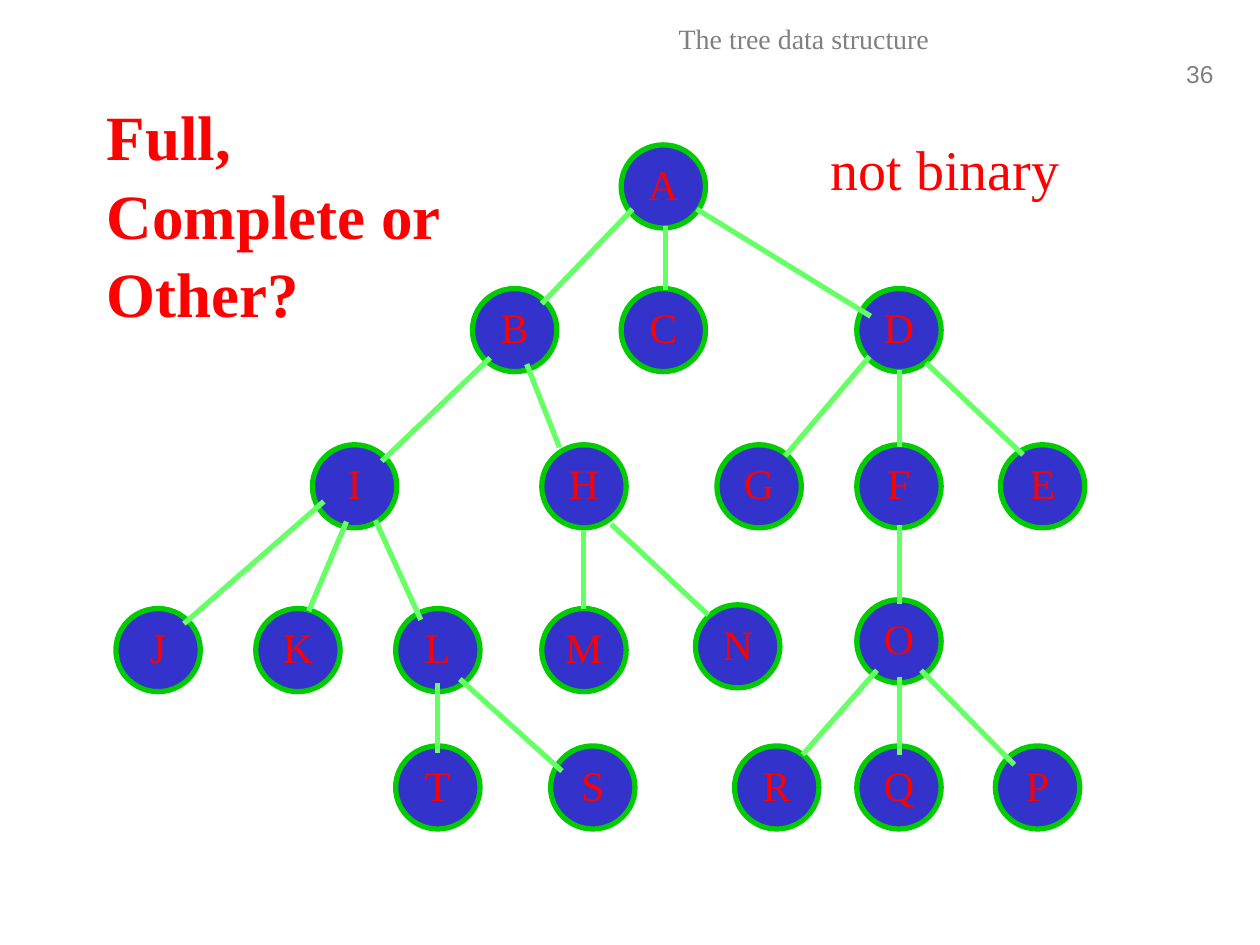
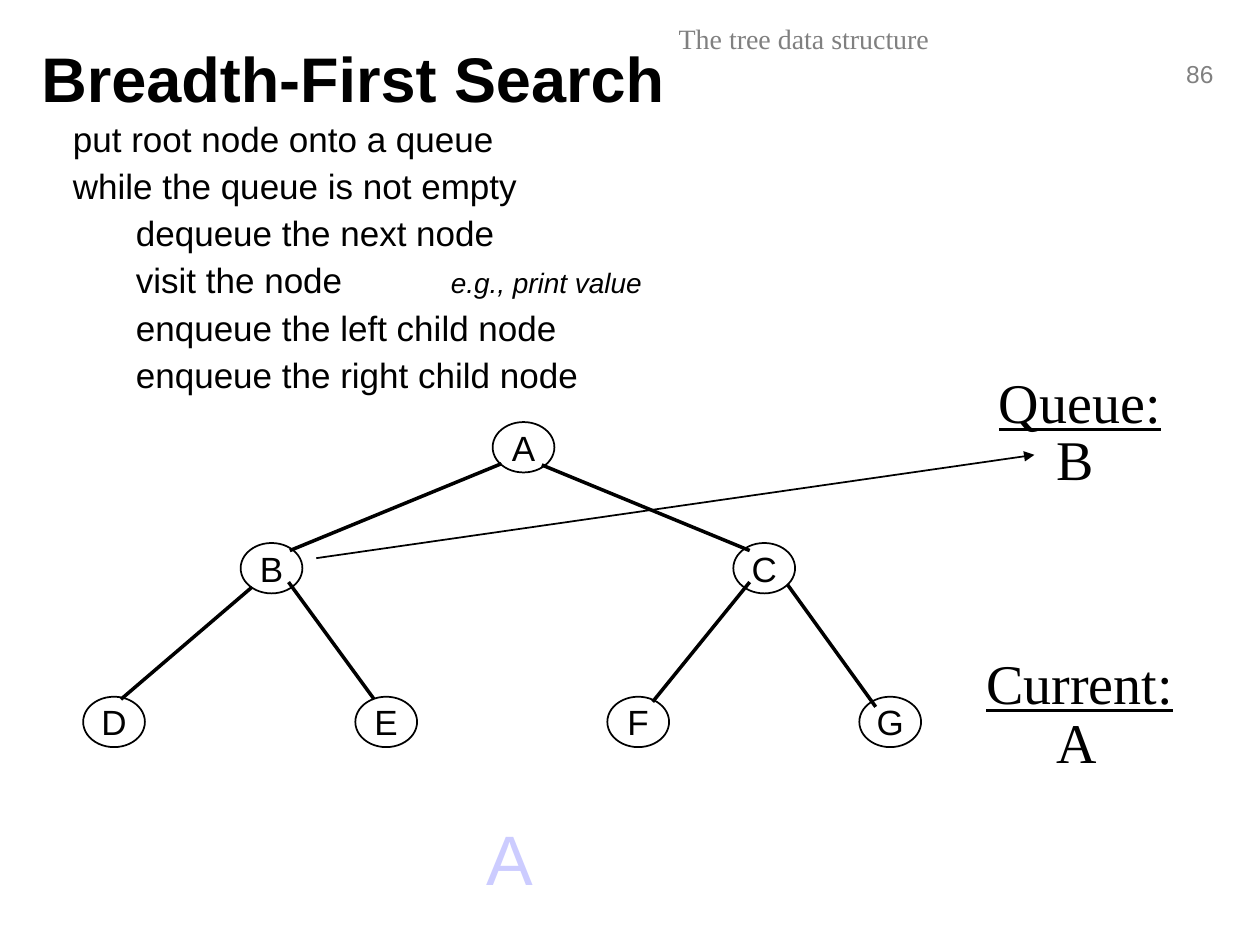
from dataclasses import dataclass

from lxml import etree
from pptx import Presentation
from pptx.dml.color import RGBColor
from pptx.enum.shapes import MSO_CONNECTOR, MSO_SHAPE
from pptx.enum.text import MSO_ANCHOR, PP_ALIGN
from pptx.oxml import parse_xml
from pptx.oxml.ns import nsdecls, qn
from pptx.util import Pt

PX = 9144
OVAL = MSO_SHAPE.OVAL
STRAIGHT = MSO_CONNECTOR.STRAIGHT
LEFT, CENTER, RIGHT = PP_ALIGN.LEFT, PP_ALIGN.CENTER, PP_ALIGN.RIGHT
TOP, MIDDLE = MSO_ANCHOR.TOP, MSO_ANCHOR.MIDDLE


@dataclass(frozen=True)
class Theme:
    serif: str = "Times New Roman"
    sans: str = "Arial"
    black: str = "000000"
    white: str = "FFFFFF"
    gray: str = "808080"
    red: str = "FF0000"
    node_blue: str = "3333CC"
    node_green: str = "00CC00"
    edge_green: str = "66FF66"
    lavender: str = "CCCCFF"
    title: int = 36
    visited: int = 40
    callout: int = 32
    node: int = 24
    body: int = 20
    small: int = 16
    number: int = 14


THEME = Theme()


def put_text(slide, text, box, size, color=THEME.black, font=THEME.sans, bold=False,
             underline=False, align=LEFT, anchor=TOP, wrap=True, spacing=None,
             insets=(10, 5, 10, 5), fill=None, outline=None, weight=1):
    place = [n * PX for n in box]
    if fill:
        holder = slide.shapes.add_shape(OVAL, *place)
        holder.shadow.inherit = False
        holder.fill.solid()
        holder.fill.fore_color.rgb = RGBColor.from_string(fill)
        holder.line.color.rgb = RGBColor.from_string(outline)
        holder.line.width = Pt(weight)
    else:
        holder = slide.shapes.add_textbox(*place)
    frame = holder.text_frame
    frame.word_wrap = wrap
    frame.vertical_anchor = anchor
    (frame.margin_left, frame.margin_top,
     frame.margin_right, frame.margin_bottom) = [n * PX for n in insets]
    for index, words in enumerate(text.split("\n")):
        paragraph = frame.add_paragraph() if index else frame.paragraphs[0]
        paragraph.alignment = align
        if spacing:
            paragraph.line_spacing = spacing
        run = paragraph.add_run()
        run.text = words
        run.font.size = Pt(size)
        run.font.name = font
        run.font.bold = bold
        run.font.underline = underline
        run.font.color.rgb = RGBColor.from_string(color)
    return frame


def draw_edge(slide, ends, color, weight, arrow=False):
    edge = slide.shapes.add_connector(STRAIGHT, *[n * PX for n in ends])
    edge.line.color.rgb = RGBColor.from_string(color)
    edge.line.width = Pt(weight)
    properties = edge._element.spPr
    if arrow:
        etree.SubElement(properties.find(qn("a:ln")), qn("a:tailEnd"), type="triangle")
    etree.SubElement(properties, qn("a:effectLst"))


deck = Presentation()
deck.slide_width, deck.slide_height = 1000 * PX, 750 * PX
blank = deck.slide_layouts[6]
quiz, search = [deck.slides.add_slide(blank) for _ in range(2)]

for slide, number in ((quiz, "36"), (search, "86")):
    put_text(slide, number, (929, 42, 44, 33), THEME.number, THEME.gray,
             align=RIGHT, wrap=False)
    put_text(slide, "The tree data structure", (319, 12, 638, 40), THEME.small,
             THEME.gray, THEME.serif, align=CENTER)

put_text(quiz, "Full, Complete or Other?", (75, 67, 284, 236), THEME.title,
         THEME.red, THEME.serif, bold=True, spacing=1.04, insets=(10, 8, 10, 5))
put_text(quiz, "not binary", (648, 107, 204, 58), THEME.callout, THEME.red,
         THEME.serif, align=CENTER, wrap=False, insets=(10, 0, 10, 5))

quiz_levels = (
    (115, {"A": 493}),
    (229, {"B": 375, "C": 493, "D": 680}),
    (353, {"I": 248, "H": 430, "G": 569, "F": 680, "E": 794}),
    (483, {"J": 92, "K": 203, "L": 314, "M": 430}),
    (480, {"N": 552}),
    (476, {"O": 680}),
    (592, {"T": 314, "S": 437, "R": 583, "Q": 680, "P": 790}),
)
for top, nodes in quiz_levels:
    for letter, left in nodes.items():
        put_text(quiz, letter, (left, top, 67, 66), THEME.node, THEME.red, THEME.serif,
                 align=CENTER, anchor=MIDDLE, insets=(0, 0, 0, 5),
                 fill=THEME.node_blue, outline=THEME.node_green, weight=3)

quiz_edges = {
    "AB": (502, 166, 430, 241),
    "AC": (528, 179, 528, 230),
    "AD": (553, 166, 691, 251),
    "BI": (389, 284, 303, 366),
    "BH": (418, 289, 444, 355),
    "DG": (690, 283, 623, 362),
    "DF": (714, 294, 714, 355),
    "DE": (735, 288, 812, 361),
    "IJ": (257, 398, 146, 495),
    "IK": (275, 414, 245, 485),
    "IL": (298, 413, 334, 492),
    "HM": (463, 421, 463, 483),
    "HN": (485, 416, 562, 488),
    "FO": (714, 417, 714, 479),
    "LT": (347, 542, 347, 598),
    "LS": (365, 539, 446, 612),
    "OR": (696, 532, 637, 599),
    "OQ": (714, 537, 714, 599),
    "OP": (731, 532, 805, 607),
}
for ends in quiz_edges.values():
    draw_edge(quiz, ends, THEME.edge_green, 3)

put_text(search, "Breadth-First Search", (23, 15, 803, 93), THEME.title,
         bold=True, anchor=MIDDLE)

search_levels = (
    (335, {"A": 391}),
    (431, {"B": 191, "C": 582}),
    (553, {"D": 66, "E": 282, "F": 482, "G": 682}),
)
for top, nodes in search_levels:
    for letter, left in nodes.items():
        put_text(search, letter, (left, top, 49, 40), THEME.body, align=CENTER,
                 anchor=MIDDLE, wrap=False, insets=(0, 0, 0, 0),
                 fill=THEME.white, outline=THEME.black)

search_edges = {
    "AB": (398, 368, 230, 437),
    "AC": (430, 369, 595, 437),
    "BD": (200, 466, 96, 555),
    "BE": (229, 462, 297, 555),
    "CF": (595, 462, 518, 557),
    "CG": (625, 464, 695, 561),
}
for ends in search_edges.values():
    draw_edge(search, ends, THEME.black, 2)

for label, box, underline in (
    ("Queue:", (783, 287, 150, 64), True),
    ("Current:", (773, 510, 169, 64), True),
    ("B", (829, 332, 51, 64), False),
    ("A", (829, 557, 53, 64), False),
):
    put_text(search, label, box, THEME.callout, font=THEME.serif,
             underline=underline, wrap=False)

visited = put_text(search, "A", (376, 642, 57, 76), THEME.visited, THEME.lavender, wrap=False)
visited_format = visited.paragraphs[0].runs[0].font._element
visited_format.find(qn("a:solidFill")).addnext(parse_xml(
    f'<a:effectLst {nsdecls("a")}><a:outerShdw dist="17961" dir="2700000">'
    f'<a:srgbClr val="{THEME.black}"/></a:outerShdw></a:effectLst>'))

draw_edge(search, (251, 443, 821, 361), THEME.black, 1, arrow=True)

steps = (
    ("put root node onto a queue", 50),
    ("while the queue is not empty", 50),
    ("dequeue the next node", 100),
    ("visit the node\t\t", 100),
    ("enqueue the left child node", 100),
    ("enqueue the right child node", 100),
)
algorithm = put_text(search, "\n".join(words for words, _ in steps),
                     (-2, 88, 578, 229), THEME.body)
for index, (paragraph, (_, indent)) in enumerate(zip(algorithm.paragraphs, steps)):
    layout = paragraph._p.get_or_add_pPr()
    layout.set("marL", str(indent * PX))
    layout.set("indent", "0")
    if index:
        paragraph.space_before = Pt(3)

remark = algorithm.paragraphs[3].add_run()
remark.text = "e.g., print value"
remark.font.size = Pt(THEME.small)
remark.font.name = THEME.sans
remark.font.italic = True
remark.font.color.rgb = RGBColor.from_string(THEME.black)

deck.save("out.pptx")
